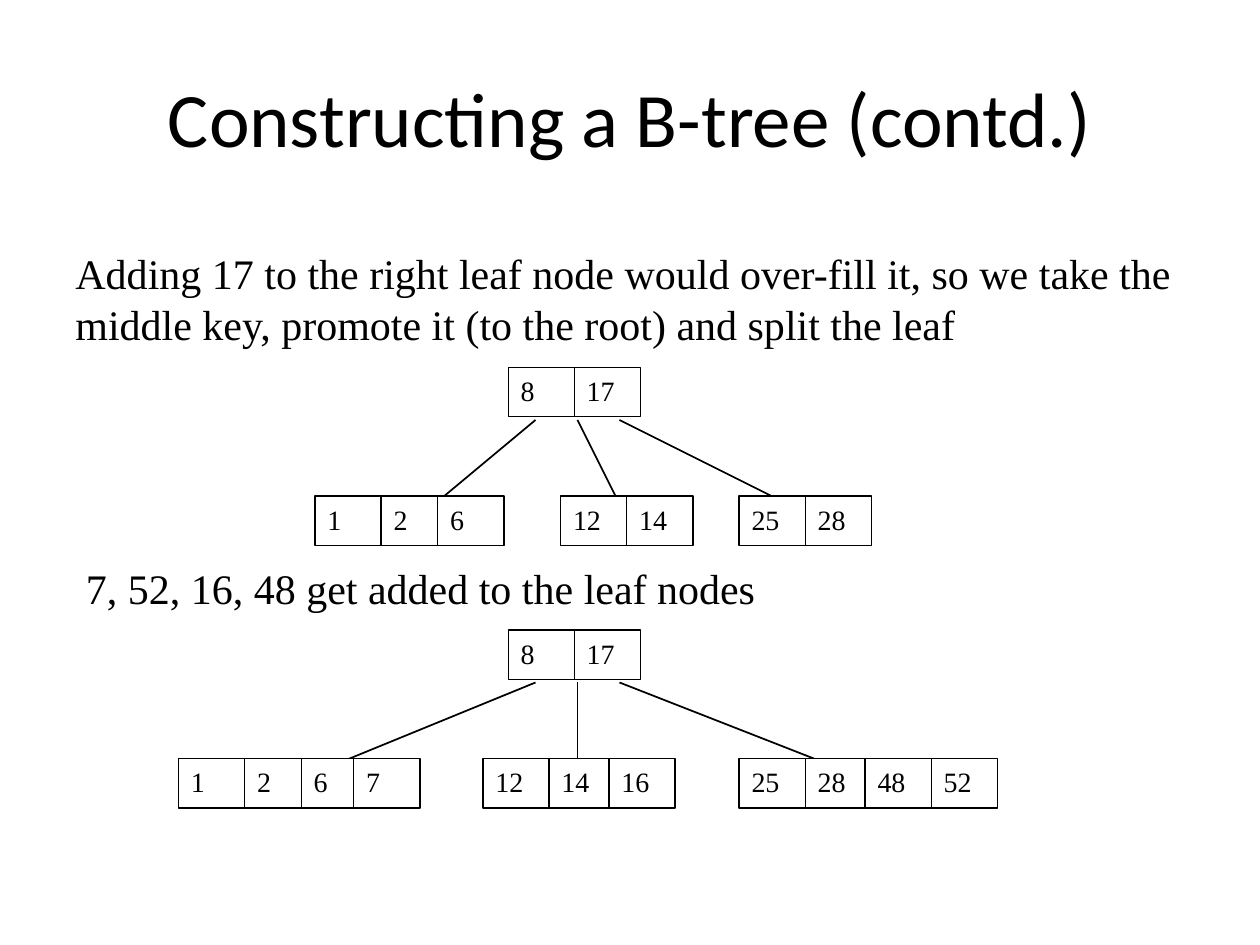
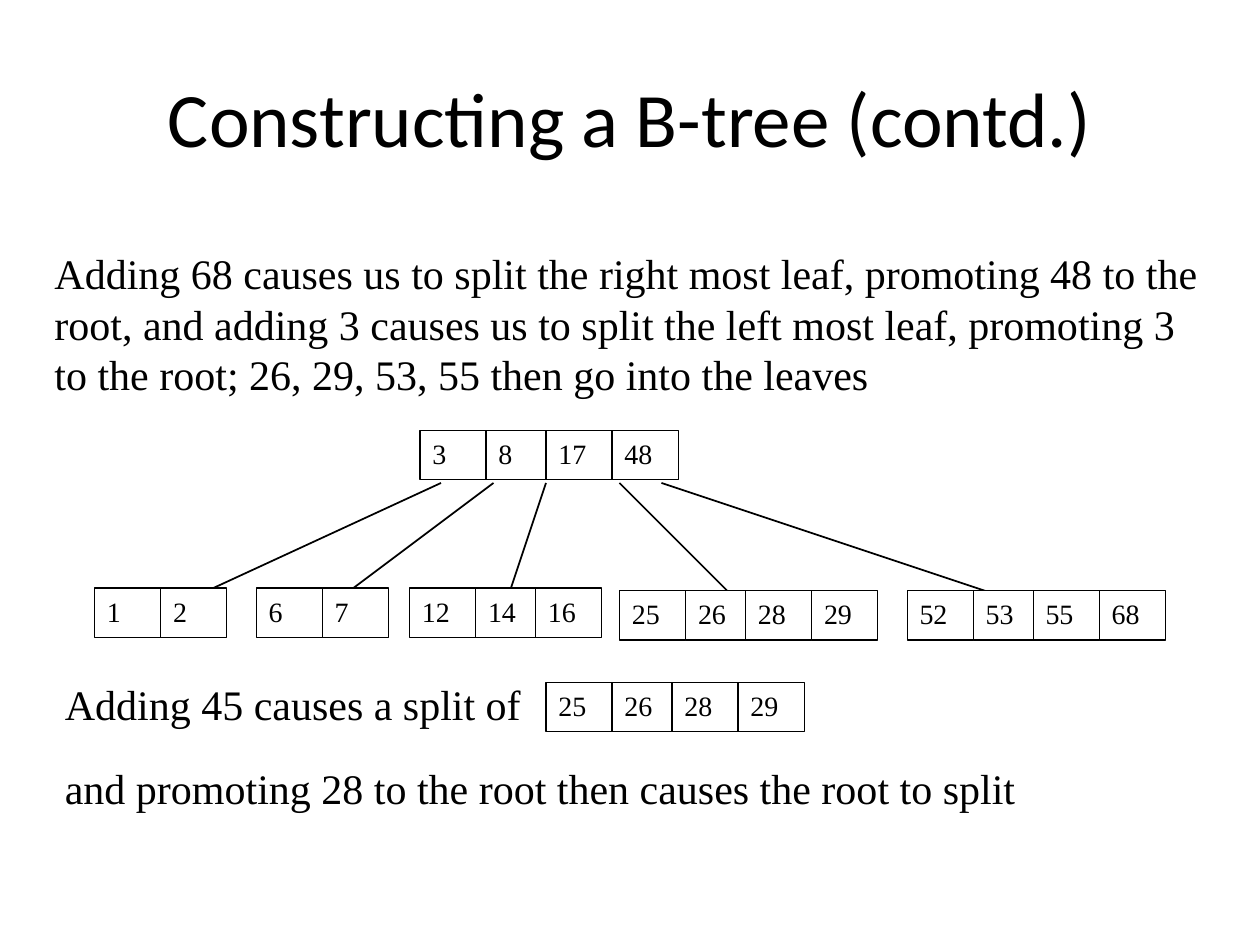
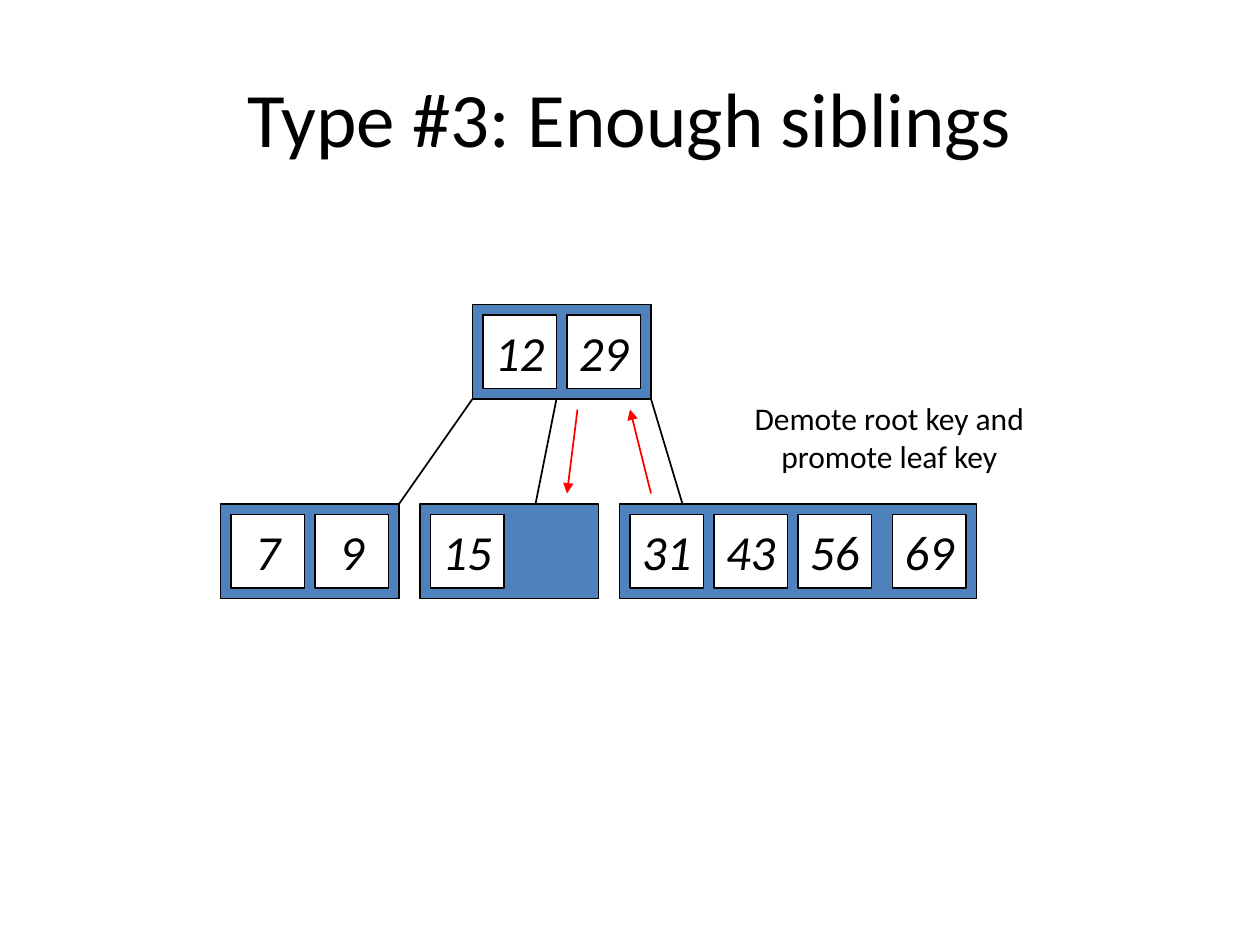
from pptx import Presentation, util as u
from pptx.dml.color import RGBColor
from pptx.enum import shapes, text
from pptx.oxml.ns import qn
from lxml import etree

GRID = u.Inches(1 / 12)  # the slide is 120 columns by 90 rows
BLACK, WHITE, BLUE, RED = "000000", "FFFFFF", "4F81BD", "FF0000"
SERIF, SANS = "Times New Roman", "Calibri"
TOP, MIDDLE = text.MSO_ANCHOR.TOP, text.MSO_ANCHOR.MIDDLE
LEFT, CENTER = text.PP_ALIGN.LEFT, text.PP_ALIGN.CENTER
RECT = shapes.MSO_SHAPE.RECTANGLE
KEY_W, KEY_H = 6.3, 4.7
WIDE, NARROW = (0, 6.3, 12, 18.3), (0, 6.3, 11.7, 16.7)  # key columns in a node
colour = RGBColor.from_string


def write(sp, words, font=SERIF, size=24, align=LEFT, anchor=TOP, italic=False, wrap=True):
    tf = sp.text_frame
    tf.word_wrap, tf.vertical_anchor = wrap, anchor
    tf.text = words
    for p in tf.paragraphs:
        p.alignment = align
        for r in p.runs:
            r.font.name, r.font.size, r.font.italic = font, u.Pt(size), italic
            r.font.color.rgb = colour(BLACK)


def draw(s, kind, *place, line=BLACK, width=1, fill=WHITE, arrow=False):
    """Add a rectangle (left, top, width, height) or a line (from, to), in grid units."""
    place = [round(v * GRID) for v in place]
    if kind == "line":
        sp = s.shapes.add_connector(shapes.MSO_CONNECTOR.STRAIGHT, *place)
        etree.SubElement(sp._element.spPr, qn("a:effectLst"))
    else:
        sp = s.shapes.add_shape(RECT, *place)
        sp.shadow.inherit = False
        sp.fill.solid()
        sp.fill.fore_color.rgb = colour(fill)
    sp.line.color.rgb, sp.line.width = colour(line), u.Pt(width)
    if arrow:
        etree.SubElement(sp.line._get_or_add_ln(), qn("a:tailEnd"), type="triangle")
    return sp


prs = Presentation()
prs.slide_width, prs.slide_height = 120 * GRID, 90 * GRID

slides = []
for title in ["Constructing a B-tree (contd.)"] * 2 + ["Type #3: Enough siblings"]:
    s = prs.slides.add_slide(prs.slide_layouts[5])
    sp = s.shapes.title
    sp.left, sp.top, sp.width, sp.height = [u.Inches(v) for v in (0.5, 0.3, 9, 1.25)]
    write(sp, title, SANS, 44, CENTER, MIDDLE)
    slides.append(s)

# Slides 1 and 2: edges (from, to), nodes (column, row, keys, key columns), captions
insertions = [
    dict(
        edges=[(51, 40, 39, 50), (55, 40, 60, 50), (59, 40, 77, 49),
               (51, 65, 29, 74), (55, 65, 55, 75), (59, 65, 82, 74)],
        nodes=[(48.4, 35, "8 17", WIDE), (30, 47.25, "1 2 6", NARROW),
               (53.4, 47.25, "12 14", WIDE), (70.4, 47.25, "25 28", WIDE),
               (48.4, 60, "8 17", WIDE), (17, 72.25, "1 2 6 7", NARROW),
               (46, 72.25, "12 14 16", WIDE), (70.4, 72.25, "25 28 48 52", WIDE)],
        captions=[
            (6, 23, 110, 10.8, "Adding 17 to the right leaf node would over-fill it, so we take "
             "the middle key, promote it (to the root) and split the leaf"),
            (7, 53, 108, 6, "7, 52, 16, 48 get added to the leaf nodes")]),
    dict(
        edges=[(42, 46, 16, 58), (47, 46, 31, 58), (52, 46, 48, 58),
               (59, 46, 71, 58), (63, 46, 99, 58)],
        nodes=[(40, 41, "3 8 17 48", WIDE), (9, 56, "1 2", WIDE), (24.4, 56, "6 7", WIDE),
               (39, 56, "12 14 16", WIDE), (59, 56.25, "25 26 28 29", WIDE),
               (86.4, 56.25, "52 53 55 68", WIDE), (52, 65, "25 26 28 29", WIDE)],
        captions=[
            (4, 23, 112, 15.6, "Adding 68 causes us to split the right most leaf, promoting 48 to "
             "the root, and adding 3 causes us to split the left most leaf, promoting 3 to the "
             "root; 26, 29, 53, 55 then go into the leaves"),
            (5, 64, 48, 6, "Adding 45 causes a split of"),
            (5, 72, 109, 6, "and promoting 28 to the root then causes the root to split")]),
]
for s, tree in zip(slides, insertions):
    for edge in tree["edges"]:
        draw(s, "line", *edge)
    for col, row, keys, offsets in tree["nodes"]:
        for key, dx in zip(keys.split(), offsets):
            write(draw(s, "rect", col + dx, row, KEY_W, KEY_H, width=0.75), key, size=16)
    for *place, words in tree["captions"]:
        write(s.shapes.add_textbox(*[round(v * GRID) for v in place]), words)

# Slide 3: framed nodes with square keys
s = slides[2]
for col, row, width, keys in [(45, 29, 17, "12 29"), (21, 48, 17, "7 9"),
                              (40, 48, 17, "15"), (59, 48, 34, "31 43 56 69")]:
    draw(s, "rect", col, row, width, 9, fill=BLUE)
    for key, dx in zip(keys.split(), (1, 9, 17, 26)):
        write(draw(s, "rect", col + dx, row + 1, 7, 7), key, SANS, 28, CENTER, MIDDLE,
              italic=True, wrap=False)
for edge in [(45, 38, 38, 48), (53, 38, 51, 48), (62, 38, 65, 48)]:
    draw(s, "line", *edge)
for move in [(62, 47, 60, 39), (55, 39, 54, 47)]:
    draw(s, "line", *move, line=RED, arrow=True)
sp = s.shapes.add_textbox(*[round(v * GRID) for v in (68, 37, 33.4, 9.2)])
write(sp, "Demote root key and\npromote leaf key", SANS, 18, CENTER, MIDDLE, wrap=False)

prs.save("out.pptx")
